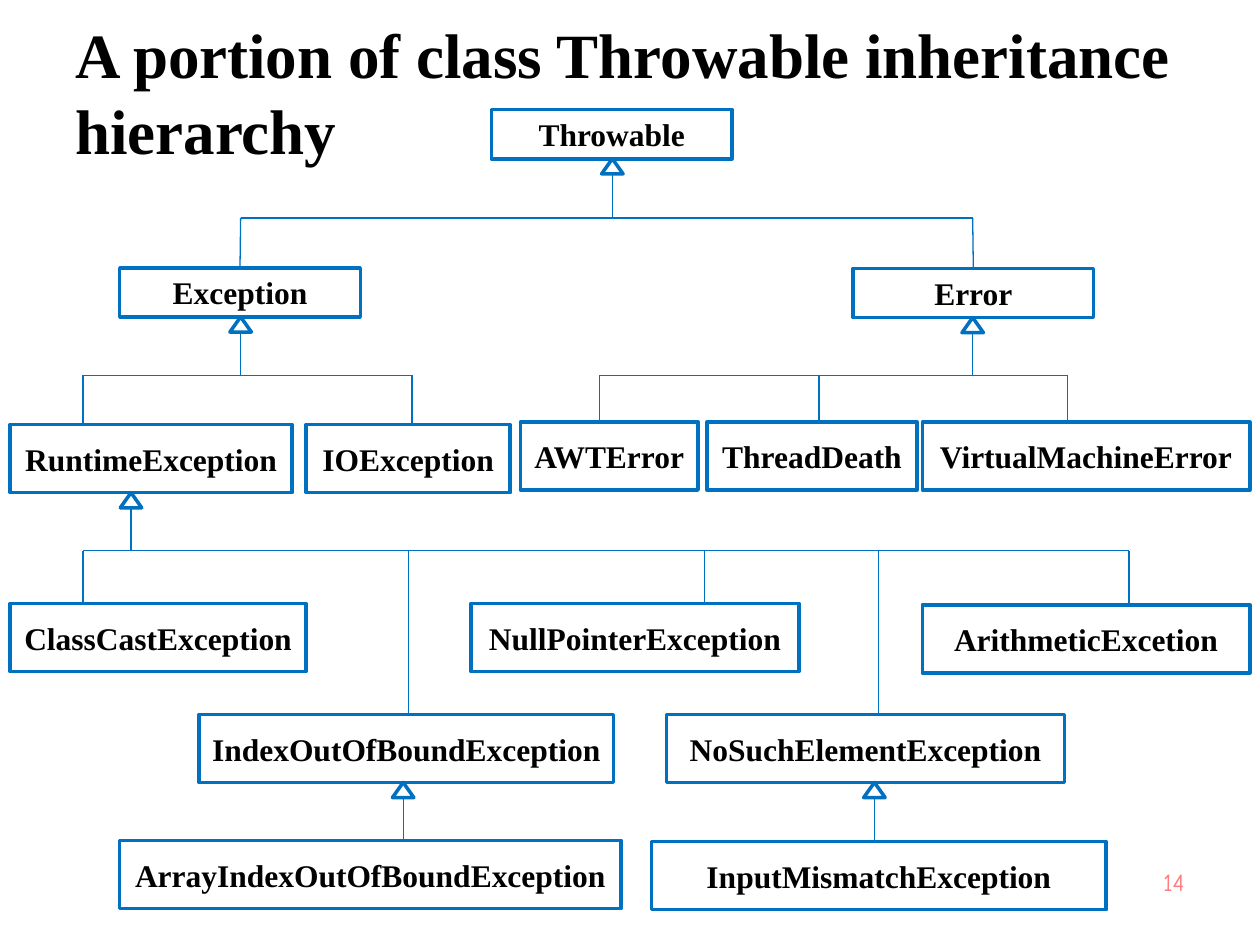
from collections import namedtuple

from lxml.etree import SubElement
from pptx import Presentation
from pptx.dml.color import RGBColor
from pptx.enum.shapes import MSO_CONNECTOR, MSO_SHAPE
from pptx.enum.text import MSO_ANCHOR, PP_ALIGN
from pptx.oxml.ns import qn
from pptx.util import Inches, Pt

BLUE = RGBColor(0x00, 0x70, 0xC0)
BLACK = RGBColor(0x00, 0x00, 0x00)
WHITE = RGBColor(0xFF, 0xFF, 0xFF)
PINK = RGBColor(0xFF, 0x7C, 0x80)
SERIF = "Times New Roman"
COLUMNS, ROWS = 100, 75
SLIDE_WIDTH, SLIDE_HEIGHT = Inches(10), Inches(7.5)
ARROW_WIDTH, ARROW_HEIGHT = 1.7, 1.2

Box = namedtuple("Box", "left top width height")

CLASSES = {
    "Throwable": Box(39, 0.7, 19.1, 3.9),
    "Exception": Box(9.5, 13.25, 19.1, 3.9),
    "Error": Box(67.7, 13.3, 19.1, 3.9),
    "RuntimeException": Box(0.8, 25.7, 22.4, 5.4),
    "IOException": Box(24.3, 25.7, 16.2, 5.4),
    "AWTError": Box(41.3, 25.5, 14.1, 5.4),
    "ThreadDeath": Box(56.1, 25.5, 16.7, 5.4),
    "VirtualMachineError": Box(73.2, 25.5, 26, 5.4),
    "ClassCastException": Box(0.8, 39.9, 23.5, 5.4),
    "NullPointerException": Box(37.4, 39.9, 26, 5.4),
    "ArithmeticExcetion": Box(73.2, 40, 26, 5.4),
    "IndexOutOfBoundException": Box(15.8, 48.7, 32.9, 5.4),
    "NoSuchElementException": Box(52.9, 48.7, 31.6, 5.4),
    "ArrayIndexOutOfBoundException": Box(9.5, 58.7, 39.8, 5.4),
    "InputMismatchException": Box(51.7, 58.8, 36.1, 5.4),
}

Branch = namedtuple("Branch", "parent trunk bar children")

BRANCHES = [
    Branch("Throwable", 48.6, 9.3, {"Exception": 19.1, "Error": 77.2}),
    Branch("Exception", 19.1, 21.8, {"RuntimeException": 6.6, "IOException": 32.7}),
    Branch("Error", 77.2, 21.8,
           {"AWTError": 47.6, "ThreadDeath": 65, "VirtualMachineError": 84.7}),
    Branch("RuntimeException", 10.4, 35.7,
           {"ClassCastException": 6.6, "IndexOutOfBoundException": 32.4,
            "NullPointerException": 55.9, "NoSuchElementException": 69.7,
            "ArithmeticExcetion": 89.6}),
    Branch("IndexOutOfBoundException", 32, 58.7, {"ArrayIndexOutOfBoundException": 32}),
    Branch("NoSuchElementException", 69.4, 58.8, {"InputMismatchException": 69.4}),
]


def across(columns):
    """Turn grid columns into a length."""
    return round(SLIDE_WIDTH * columns / COLUMNS)


def down(rows):
    """Turn grid rows into a length."""
    return round(SLIDE_HEIGHT * rows / ROWS)


def place(box):
    """Return the slide lengths of a grid box."""
    return across(box.left), down(box.top), across(box.width), down(box.height)


def inside(region, box):
    """Shift a box by the corner of its region."""
    return box._replace(left=region.left + box.left, top=region.top + box.top)


def write(shape, text, size, color, name=SERIF, bold=True, align=PP_ALIGN.CENTER):
    """Put one formatted paragraph into a shape."""
    shape.text_frame.text = text
    para = shape.text_frame.paragraphs[0]
    para.alignment = align
    font = para.runs[0].font
    font.size, font.name, font.bold = Pt(size), name, bold
    font.color.rgb = color


def add_title(page, box):
    """Add the two-line slide title."""
    title = page.shapes.add_textbox(*place(box))
    title.text_frame.word_wrap = True
    title.text_frame.vertical_anchor = MSO_ANCHOR.MIDDLE
    write(title, "A portion of class Throwable inheritance hierarchy", 36, BLACK,
          align=PP_ALIGN.LEFT)


def add_page_number(page, box):
    """Add the slide number."""
    number = page.shapes.add_textbox(*place(box))
    number.text_frame.word_wrap = True
    write(number, "14", 14, PINK, "Comic Neue", False, PP_ALIGN.RIGHT)


def add_outline(page, kind, box):
    """Add a white shape with a blue outline."""
    shape = page.shapes.add_shape(kind, *place(box))
    shape.shadow.inherit = False
    shape.fill.solid()
    shape.fill.fore_color.rgb = WHITE
    shape.line.color.rgb = BLUE
    shape.line.width = Pt(2)
    return shape


def add_class(page, name, box):
    """Add the rectangle of one class."""
    shape = add_outline(page, MSO_SHAPE.RECTANGLE, box)
    shape.text_frame.word_wrap = False
    shape.text_frame.vertical_anchor = MSO_ANCHOR.MIDDLE
    write(shape, name, 18, BLACK)
    return shape


def add_line(page, start, end):
    """Add a thin blue line between two grid points."""
    line = page.shapes.add_connector(
        MSO_CONNECTOR.STRAIGHT,
        across(start[0]), down(start[1]), across(end[0]), down(end[1]))
    line.line.color.rgb = BLUE
    line.line.width = Pt(0.75)
    SubElement(line._element.spPr, qn("a:effectLst"))
    return line


def add_branch(page, region, branch, shapes):
    """Link the children of a class to its inheritance arrow."""
    parent = CLASSES[branch.parent]
    trunk = region.left + branch.trunk
    bar = region.top + branch.bar
    tip = region.top + parent.top + parent.height
    add_outline(page, MSO_SHAPE.ISOSCELES_TRIANGLE,
                Box(trunk - ARROW_WIDTH / 2, tip, ARROW_WIDTH, ARROW_HEIGHT))
    add_line(page, (trunk, tip + ARROW_HEIGHT), (trunk, bar))
    if len(branch.children) == 1:
        return
    ends = [region.left + column for column in branch.children.values()]
    add_line(page, (min(ends), bar), (max(ends), bar))
    for (name, column), end in zip(branch.children.items(), ends):
        child = CLASSES[name]
        drop = add_line(page, (end, bar), (end, region.top + child.top))
        if abs(child.left + child.width / 2 - column) < 0.1:
            drop.end_connect(shapes[name], 0)


def add_hierarchy(page, region):
    """Add all classes and their inheritance lines."""
    shapes = {name: add_class(page, name, inside(region, box))
              for name, box in CLASSES.items()}
    for branch in BRANCHES:
        add_branch(page, region, branch, shapes)


def main():
    """Build and save the deck."""
    deck = Presentation()
    deck.slide_width, deck.slide_height = SLIDE_WIDTH, SLIDE_HEIGHT
    page = deck.slides.add_slide(deck.slide_layouts[6])
    add_title(page, Box(5, 2.2, 90, 10.1))
    add_page_number(page, Box(71.7, 68.3, 23.3, 5.2))
    add_hierarchy(page, Box(0, 8, 100, 64.5))
    deck.save("out.pptx")


if __name__ == "__main__":
    main()
